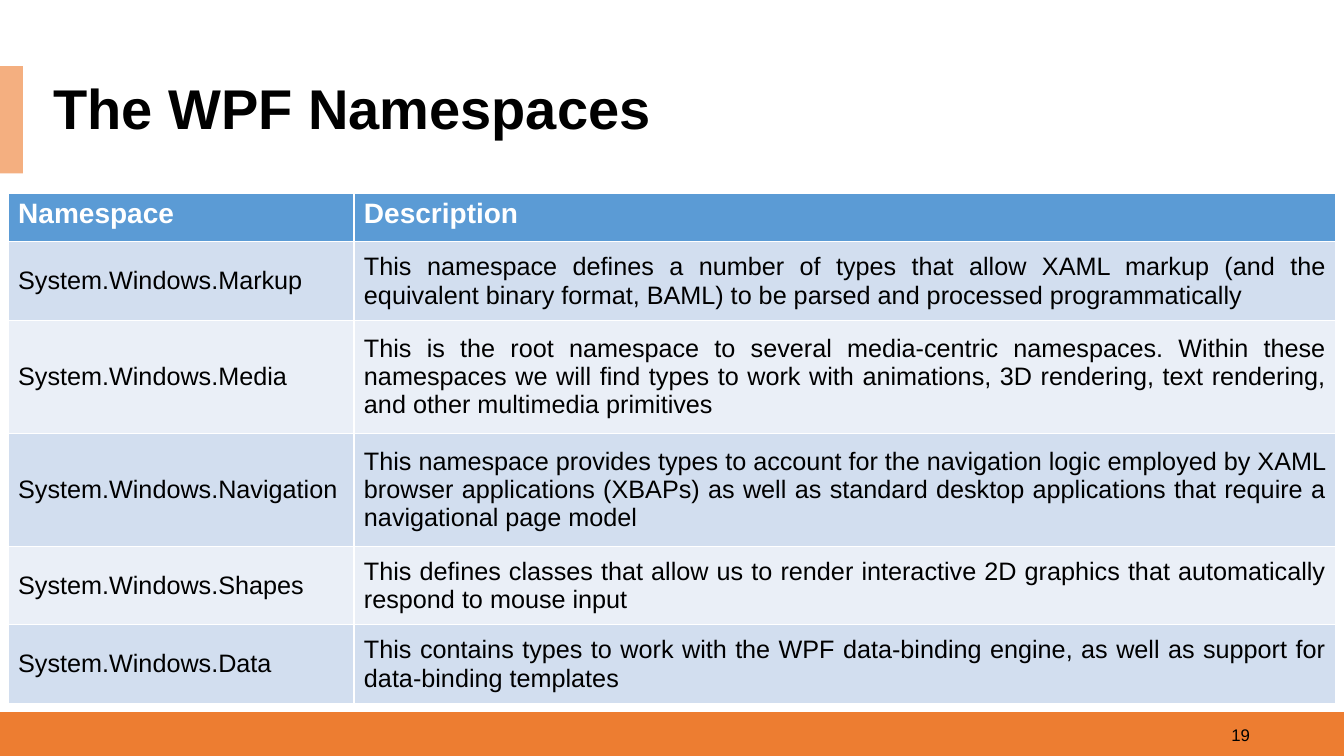
from dataclasses import dataclass

from pptx import Presentation
from pptx.dml.color import RGBColor
from pptx.enum.shapes import MSO_SHAPE
from pptx.enum.text import MSO_ANCHOR, PP_ALIGN
from pptx.util import Pt

RECTANGLE = MSO_SHAPE.RECTANGLE
TOP, MIDDLE = MSO_ANCHOR.TOP, MSO_ANCHOR.MIDDLE
LEFT, RIGHT, JUSTIFY = PP_ALIGN.LEFT, PP_ALIGN.RIGHT, PP_ALIGN.JUSTIFY


@dataclass(frozen=True)
class Theme:
    font: str = "Arial"
    black: str = "000000"
    white: str = "FFFFFF"
    footer: str = "ED7D31"
    accent: str = "F4AF80"
    header: str = "5B9BD5"
    bands: tuple = ("D2DEEF", "EAEFF7")
    title_size: int = 40
    header_size: int = 20
    body_size: int = 18
    number_size: int = 12


THEME = Theme()
ROWS = [
    ("Namespace", "Description", 34.6),
    ("System.Windows.Markup",
     "This namespace defines a number of types that allow XAML markup (and the equivalent "
     "binary format, BAML) to be parsed and processed programmatically", 56.2),
    ("System.Windows.Media",
     "This is the root namespace to several media-centric namespaces. Within these namespaces "
     "we will find types to work with animations, 3D rendering, text rendering, and other "
     "multimedia primitives", 80.6),
    ("System.Windows.Navigation",
     "This namespace provides types to account for the navigation logic employed by XAML "
     "browser applications (XBAPs) as well as standard desktop applications that require a "
     "navigational page model", 80.6),
    ("System.Windows.Shapes",
     "This defines classes that allow us to render interactive 2D graphics that automatically "
     "respond to mouse input", 56.2),
    ("System.Windows.Data",
     "This contains types to work with the WPF data-binding engine, as well as support for "
     "data-binding templates", 56.2),
]
COLUMN_WIDTHS = (247, 701.5)


def write_text(text_frame, text, size, color=THEME.black, bold=False, align=LEFT):
    text_frame.text = text
    text_frame.word_wrap = True
    paragraph = text_frame.paragraphs[0]
    paragraph.alignment = align
    paragraph.font.name = THEME.font
    paragraph.font.size = Pt(size)
    paragraph.font.bold = bold
    paragraph.font.color.rgb = RGBColor.from_string(color)
    return paragraph


presentation = Presentation()
presentation.slide_width = Pt(960)
presentation.slide_height = Pt(540)
slide = presentation.slides.add_slide(presentation.slide_layouts[5])

# Footer band and title accent
for left, top, width, height, color in [
    (0, 508.7, 960, 31.3, THEME.footer),
    (0, 47.3, 16.4, 76.5, THEME.accent),
]:
    bar = slide.shapes.add_shape(RECTANGLE, Pt(left), Pt(top), Pt(width), Pt(height))
    bar.shadow.inherit = False
    bar.fill.solid()
    bar.fill.fore_color.rgb = RGBColor.from_string(color)
    bar.line.fill.background()

# Slide number
number = slide.shapes.add_textbox(Pt(684), Pt(510.5), Pt(216), Pt(28.8))
number.text_frame.vertical_anchor = MIDDLE
write_text(number.text_frame, "19", THEME.number_size, align=RIGHT)

# Title
title = slide.shapes.title
title.left, title.top, title.width, title.height = Pt(31), Pt(56.9), Pt(929), Pt(45.4)
title.fill.solid()
title.fill.fore_color.rgb = RGBColor.from_string(THEME.white)
title.text_frame.vertical_anchor = MIDDLE
paragraph = write_text(title.text_frame, "The WPF Namespaces", THEME.title_size, bold=True)
paragraph.line_spacing = 0.9

# Namespace table
table = slide.shapes.add_table(
    len(ROWS), len(COLUMN_WIDTHS), Pt(5.8), Pt(138.2),
    Pt(sum(COLUMN_WIDTHS)), Pt(sum(row[2] for row in ROWS)),
).table
for column, width in zip(table.columns, COLUMN_WIDTHS):
    column.width = Pt(width)

for row_index, (namespace, description, height) in enumerate(ROWS):
    table.rows[row_index].height = Pt(height)
    is_header = row_index == 0
    fill = THEME.header if is_header else THEME.bands[(row_index - 1) % 2]
    for column_index, text in enumerate((namespace, description)):
        cell = table.cell(row_index, column_index)
        cell.fill.solid()
        cell.fill.fore_color.rgb = RGBColor.from_string(fill)
        cell.vertical_anchor = TOP if is_header else MIDDLE
        write_text(
            cell.text_frame, text,
            THEME.header_size if is_header else THEME.body_size,
            THEME.white if is_header else THEME.black,
            is_header,
            JUSTIFY if column_index == 1 and not is_header else LEFT,
        )

presentation.save("out.pptx")
